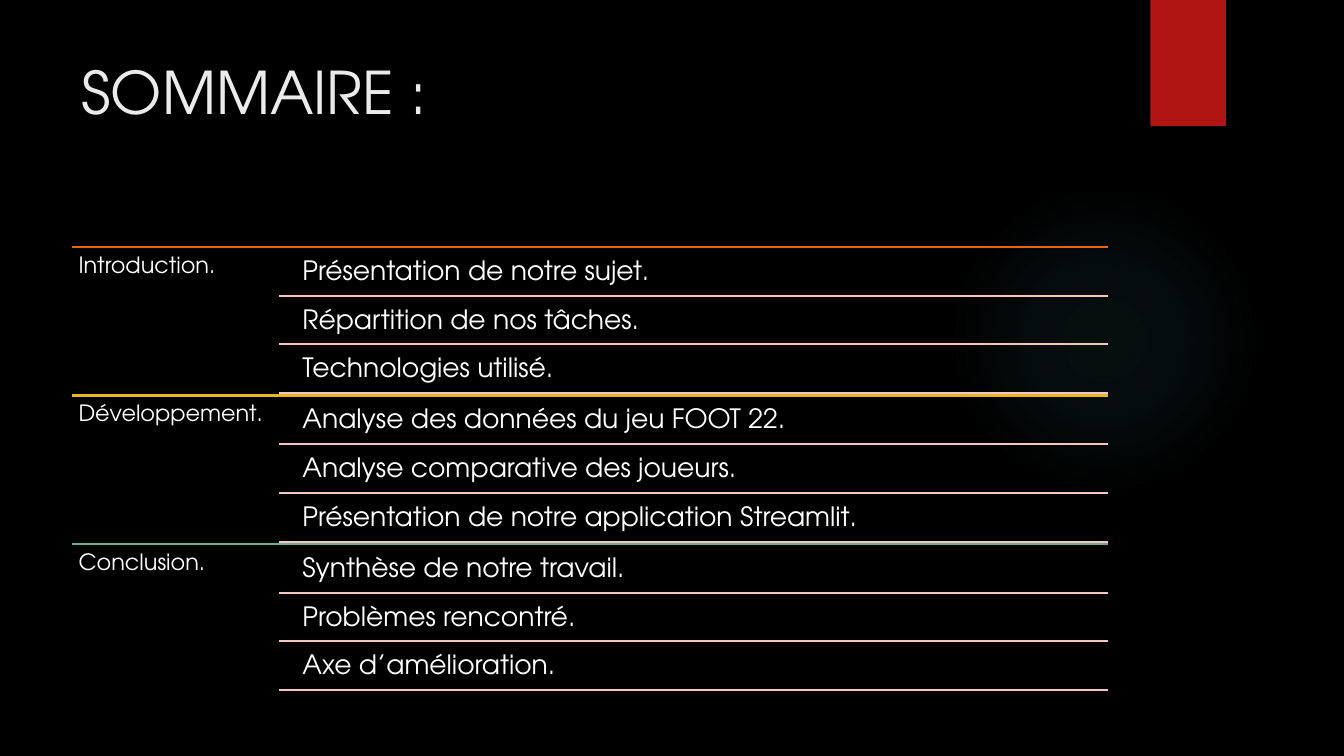
"""Build the agenda slide: three coloured sections, each with three ruled topics."""
from dataclasses import dataclass

from lxml import etree
from pptx import Presentation
from pptx.dml.color import RGBColor
from pptx.enum.shapes import MSO_CONNECTOR, MSO_SHAPE
from pptx.enum.text import MSO_ANCHOR, PP_ALIGN
from pptx.oxml import parse_xml
from pptx.oxml.ns import nsdecls, qn
from pptx.util import Inches, Pt

STRAIGHT = MSO_CONNECTOR.STRAIGHT
RECTANGLE, OVAL = MSO_SHAPE.RECTANGLE, MSO_SHAPE.OVAL
TOP_ANCHOR, LEFT_ALIGN = MSO_ANCHOR.TOP, PP_ALIGN.LEFT


@dataclass(frozen=True)
class Theme:
    """Colours, font and type sizes of the slide."""
    font: str = "TeX Gyre Adventor"
    background: str = "000000"
    title: str = "EBEBEB"
    text: str = "FFFFFF"
    ribbon: str = "B01513"
    glow: str = "50B9C1"
    rule: str = "F5C6BD"
    title_size: float = 42
    label_size: float = 16
    topic_size: float = 19
    rule_width: float = 1.5


@dataclass(frozen=True)
class Grid:
    """Agenda area in inches, cut into equal sections of 64 units each."""
    left: float = 0.71
    top: float = 2.45
    width: float = 10.28
    height: float = 4.42
    sections: int = 3

    @property
    def right(self) -> float:
        """Return the right edge."""
        return self.left + self.width

    @property
    def section(self) -> float:
        """Return the height of one section."""
        return self.height / self.sections

    @property
    def unit(self) -> float:
        """Return the gap between topics, a twentieth of a topic's height."""
        return self.section / 64

    @property
    def label(self) -> float:
        """Return the width of the label column."""
        return self.width / 5

    @property
    def indent(self) -> float:
        """Return the space between a rule's start and its topic box."""
        return self.width * 0.015


@dataclass(frozen=True)
class Section:
    """One part of the agenda."""
    label: str
    color: str
    topics: tuple[str, ...]


THEME = Theme()
GRID = Grid()
SECTIONS = (
    Section("Introduction.", "EA6312", (
        "Présentation de notre sujet.",
        "Répartition de nos tâches.",
        "Technologies utilisé.")),
    Section("Développement.", "E6B729", (
        "Analyse des données du jeu FOOT 22.",
        "Analyse comparative des joueurs.",
        "Présentation de notre application Streamlit.")),
    Section("Conclusion.", "6AAC90", (
        "Synthèse de notre travail.",
        "Problèmes rencontré.",
        "Axe d’amélioration.")),
)


def write_text(sp, text: str, size: float, color: str, inset: float, spacing: float) -> None:
    """Fill a shape with one left-aligned line of text."""
    tf = sp.text_frame
    frame = {"word_wrap": True, "vertical_anchor": TOP_ANCHOR}
    frame |= {f"margin_{side}": Inches(inset) for side in ("left", "top", "right", "bottom")}
    tf.text = text
    p = tf.paragraphs[0]
    r = p.runs[0]
    r.font.color.rgb = RGBColor.from_string(color)
    formats = (
        (tf, frame),
        (p, {"alignment": LEFT_ALIGN, "line_spacing": spacing}),
        (r.font, {"name": THEME.font, "size": Pt(size)}),
    )
    for target, values in formats:
        for name, value in values.items():
            setattr(target, name, value)


def add_text(s, left: float, top: float, width: float, height: float,
             text: str, size: float, inset: float) -> None:
    """Add a text box."""
    sp = s.shapes.add_textbox(Inches(left), Inches(top), Inches(width), Inches(height))
    write_text(sp, text, size, THEME.text, inset, 0.9)


def add_rule(s, left: float, y: float, color: str) -> None:
    """Add a horizontal line from left to the grid's right edge."""
    line = s.shapes.add_connector(STRAIGHT, Inches(left), Inches(y), Inches(GRID.right), Inches(y))
    line.line.color.rgb = RGBColor.from_string(color)
    line.line.width = Pt(THEME.rule_width)
    etree.SubElement(line._element.spPr, qn("a:effectLst"))


def add_plain(s, kind, left: float, top: float, width: float, height: float, color: str):
    """Add a filled shape without outline or shadow."""
    sp = s.shapes.add_shape(kind, Inches(left), Inches(top), Inches(width), Inches(height))
    sp.shadow.inherit = False
    sp.fill.solid()
    sp.fill.fore_color.rgb = RGBColor.from_string(color)
    sp.line.fill.background()
    return sp


def add_glow(s) -> None:
    """Add the faint round glow."""
    sp = add_plain(s, OVAL, 9.41, 1.83, 3.08, 3.08, THEME.glow)
    stops = "".join(
        f'<a:gs pos="{pos * 1000}"><a:srgbClr val="{THEME.glow}">'
        f'<a:alpha val="{alpha * 1000}"/></a:srgbClr></a:gs>'
        for pos, alpha in ((0, 7), (36, 6), (69, 0)))
    gradient = parse_xml(
        f'<a:gradFill {nsdecls("a")} rotWithShape="1"><a:gsLst>{stops}</a:gsLst>'
        '<a:path path="circle"><a:fillToRect l="50000" t="50000" r="50000" b="50000"/>'
        '</a:path></a:gradFill>')
    spPr = sp._element.spPr
    spPr.replace(spPr.find(qn("a:solidFill")), gradient)


def add_section(s, index: int, section: Section) -> None:
    """Add a section's label, topics and rules."""
    top = GRID.top + index * GRID.section
    split = GRID.left + GRID.label
    topic_left = split + GRID.indent
    add_rule(s, GRID.left, top, section.color)
    add_text(s, GRID.left, top, GRID.label, GRID.section, section.label, THEME.label_size, 0.07)
    for row, topic in enumerate(section.topics):
        y = top + (1 + 21 * row) * GRID.unit
        height = 20 * GRID.unit
        add_text(s, topic_left, y, GRID.right - topic_left, height, topic, THEME.topic_size, 0.08)
        add_rule(s, split, y + height, THEME.rule)


def add_title(s) -> None:
    """Place and format the title."""
    title = s.shapes.title
    box = {"left": GRID.left, "top": 0.5, "width": 10.29, "height": 1.53}
    for name, value in box.items():
        setattr(title, name, Inches(value))
    write_text(title, "SOMMAIRE :", THEME.title_size, THEME.title, 0.1, 1.0)
    title.text_frame.margin_top = Inches(0.05)


def main() -> None:
    """Build and save the slide."""
    prs = Presentation()
    prs.slide_width, prs.slide_height = Inches(13.33), Inches(7.5)
    s = prs.slides.add_slide(prs.slide_layouts[5])
    s.background.fill.solid()
    s.background.fill.fore_color.rgb = RGBColor.from_string(THEME.background)
    add_glow(s)
    add_plain(s, RECTANGLE, 11.41, 0, 0.75, 1.25, THEME.ribbon)
    add_title(s)
    for index, section in enumerate(SECTIONS):
        add_section(s, index, section)
    prs.save("out.pptx")


if __name__ == "__main__":
    main()
